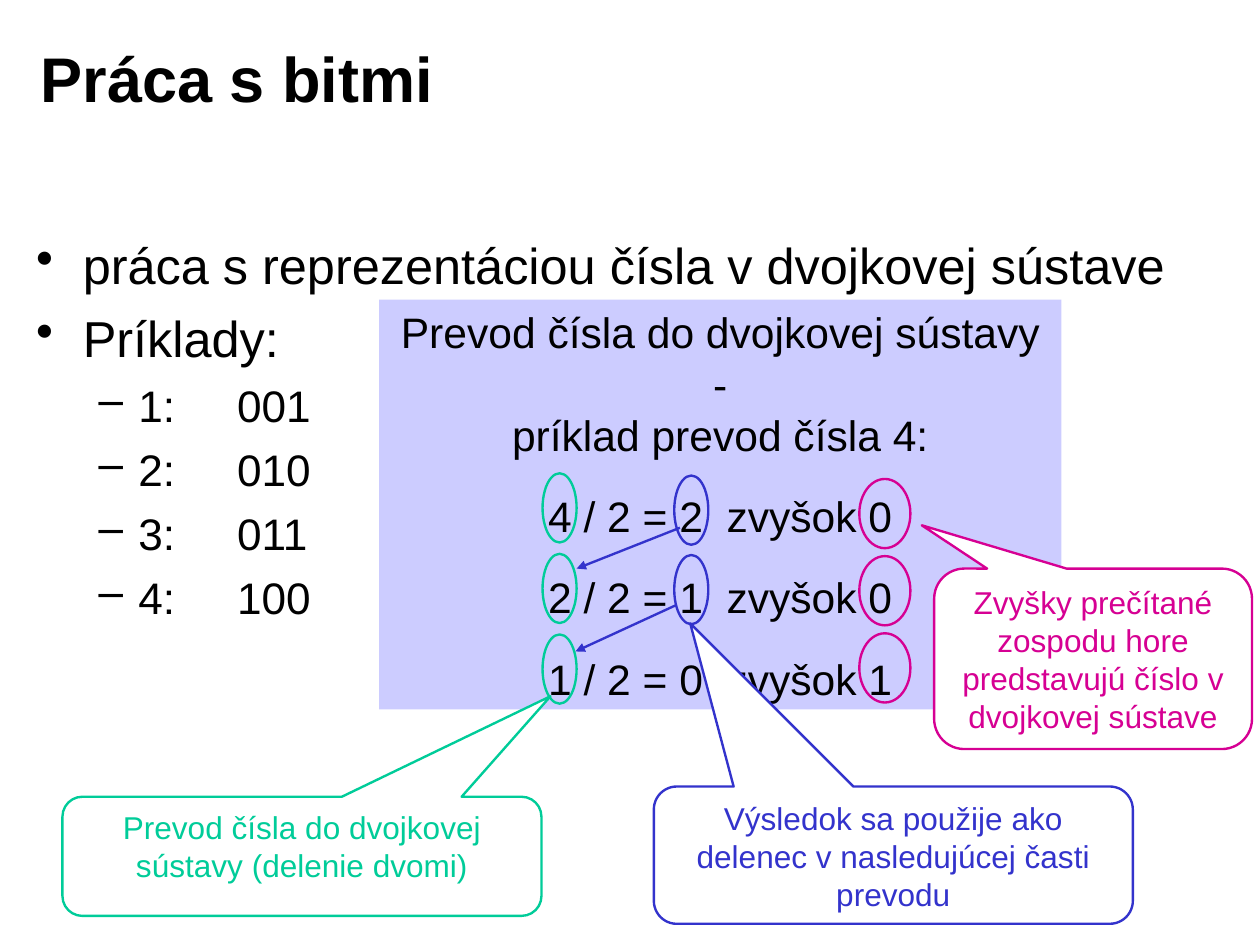
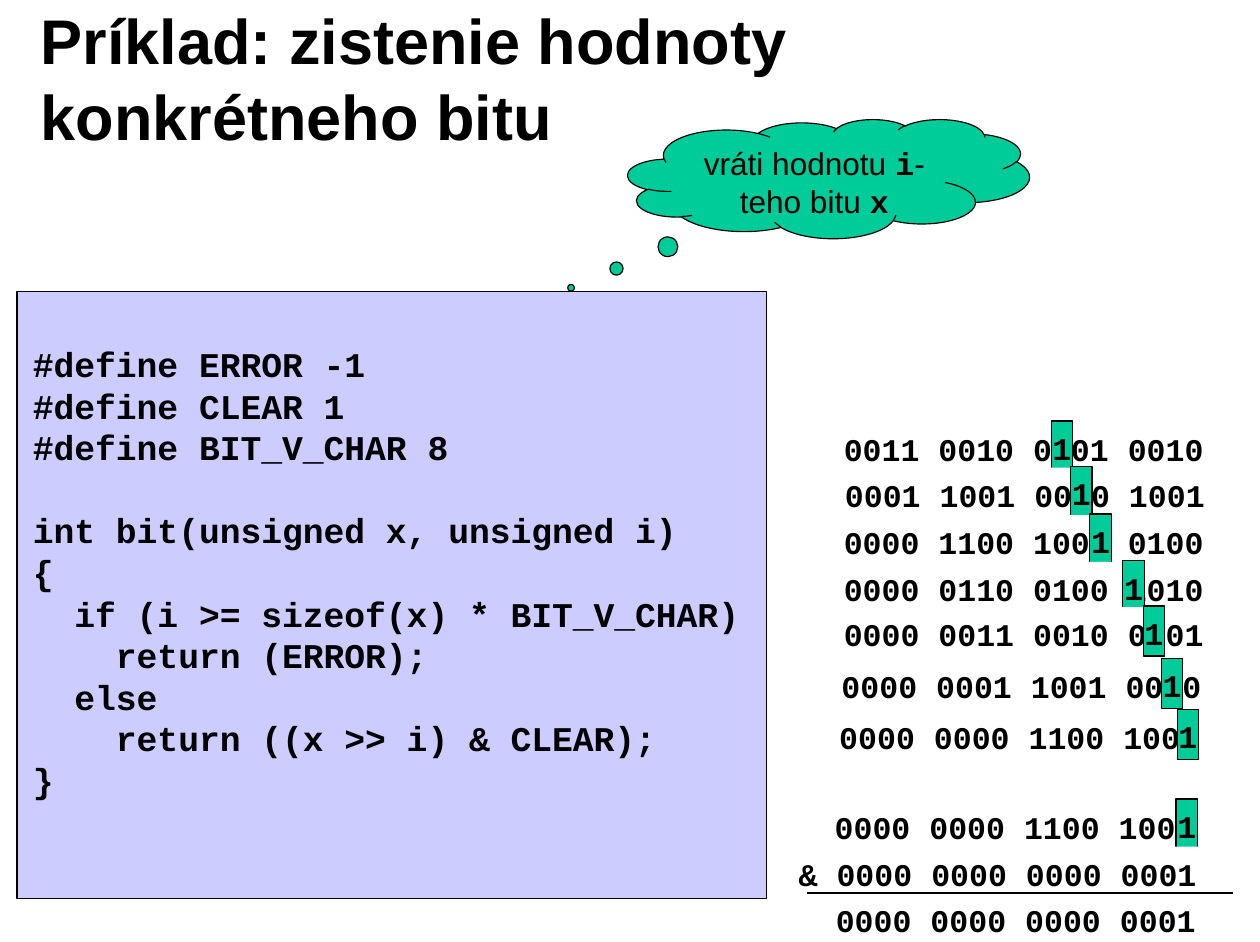
"""Build two slides on bit manipulation: binary conversion and reading one bit."""
from dataclasses import dataclass

import pptx
import pptx.dml.color
import pptx.enum.shapes
import pptx.enum.text
import pptx.oxml
import pptx.oxml.ns
import pptx.util

Inches = pptx.util.Inches
Pt = pptx.util.Pt
SHAPES = pptx.enum.shapes.MSO_SHAPE
ALIGN = pptx.enum.text.PP_ALIGN
ANCHOR = pptx.enum.text.MSO_ANCHOR


@dataclass(frozen=True)
class Theme:
    """Colours, fonts and type sizes shared by the slides."""
    sans: str = "Arial"
    mono: str = "Courier New"
    ink: str = "000000"
    paper: str = "FFFFFF"
    panel: str = "CCCCFF"
    green: str = "00CC99"
    blue: str = "3333CC"
    magenta: str = "D60093"
    title: float = 40
    body: float = 32
    sub: float = 28
    example: float = 27
    code: float = 22
    note: float = 20
    leading: float = 1.2


THEME = Theme()
WIDE_INSETS = (0.11, 0.06, 0.11, 0.06)
NOTE_INSETS = (0.1, 0.05, 0.1, 0.05)
BIT_INSETS = (0, 0.07, 0, 0.05)
TITLE_AT = (0.25, 0.17, 8.92, 1.02)
ROW_HEIGHT = 0.44
ROW_WIDTH = 3.88


def rgb(color):
    """Turn a hex string into a colour."""
    return pptx.dml.color.RGBColor.from_string(color)


def style_font(font, size, face, color, bold=False):
    """Set every font property used on these slides."""
    font.size, font.name, font.bold = Pt(size), face, bold
    font.color.rgb = rgb(color)


def set_frame(shape, insets, anchor=ANCHOR.TOP):
    """Wrap the text of a shape inside the given insets."""
    frame = shape.text_frame
    frame.word_wrap = True
    frame.vertical_anchor = anchor
    frame.margin_left, frame.margin_top, frame.margin_right, frame.margin_bottom = map(Inches, insets)
    return frame


def paragraphs(frame, count):
    """Yield the first paragraph of a frame and then new ones."""
    yield frame.paragraphs[0]
    for _ in range(count - 1):
        yield frame.add_paragraph()


def write(shape, lines, size, face=THEME.sans, color=THEME.ink, bold=False,
          align=ALIGN.CENTER, insets=NOTE_INSETS, anchor=ANCHOR.TOP, gaps=()):
    """Write equally styled lines, with extra space before the lines in gaps."""
    frame = set_frame(shape, insets, anchor)
    gaps = dict(gaps)
    for index, (paragraph, line) in enumerate(zip(paragraphs(frame, len(lines)), lines)):
        paragraph.text = line
        paragraph.alignment = align
        paragraph.line_spacing = Pt(size * THEME.leading)
        if index in gaps:
            paragraph.space_before = Pt(gaps[index])
        style_font(paragraph.font, size, face, color, bold)


def add_text(slide, at, lines, size, **style):
    """Add an unfilled text box."""
    write(slide.shapes.add_textbox(*map(Inches, at)), lines, size, **style)


def add_shape(slide, kind, at, fill=None, line=None, weight=0.75, adjust=()):
    """Add a flat preset shape."""
    shape = slide.shapes.add_shape(kind, *map(Inches, at))
    shape.shadow.inherit = False
    for index, value in enumerate(adjust):
        shape.adjustments[index] = value
    if fill:
        shape.fill.solid()
        shape.fill.fore_color.rgb = rgb(fill)
    else:
        shape.fill.background()
    if line:
        shape.line.color.rgb = rgb(line)
        shape.line.width = Pt(weight)
    else:
        shape.line.fill.background()
    return shape


def add_line(slide, start, end, color, weight, arrow=False):
    """Add a straight line, with an optional arrowhead at its end."""
    line = slide.shapes.add_connector(
        pptx.enum.shapes.MSO_CONNECTOR.STRAIGHT, *map(Inches, start + end))
    line.line.color.rgb = rgb(color)
    line.line.width = Pt(weight)
    if arrow:
        pptx.oxml.ns.qn("a:tailEnd")
        head = line.line._get_or_add_ln().makeelement(
            pptx.oxml.ns.qn("a:tailEnd"), {"type": "triangle"})
        line.line._get_or_add_ln().append(head)
    properties = line._element.spPr
    properties.append(properties.makeelement(pptx.oxml.ns.qn("a:effectLst"), {}))


def add_title(slide, text):
    """Add the slide title."""
    add_text(slide, TITLE_AT, [text], THEME.title, bold=True, align=ALIGN.LEFT,
             insets=WIDE_INSETS, anchor=ANCHOR.MIDDLE)


def set_bullet(paragraph, mark, left, hang, tabs=()):
    """Give a paragraph a bullet, a hanging indent and tab stops."""
    properties = paragraph._p.get_or_add_pPr()
    properties.set("marL", str(Inches(left)))
    properties.set("indent", str(-Inches(hang)))
    bullet = properties.makeelement(pptx.oxml.ns.qn("a:buChar"), {"char": mark})
    properties.append(bullet)
    if tabs:
        stops = properties.makeelement(pptx.oxml.ns.qn("a:tabLst"), {})
        for position in tabs:
            stops.append(stops.makeelement(
                pptx.oxml.ns.qn("a:tab"), {"pos": str(Inches(position)), "algn": "l"}))
        properties.append(stops)


def add_outline(slide, at, items):
    """Add a bulleted list of (level, text) items."""
    frame = set_frame(slide.shapes.add_textbox(*map(Inches, at)), WIDE_INSETS)
    levels = (
        (THEME.body, 8, ("•", 0.41, 0.41)),
        (THEME.sub, 7, ("–", 0.9, 0.35, (0.87, 1.77))),
    )
    for index, (paragraph, (level, text)) in enumerate(zip(paragraphs(frame, len(items)), items)):
        size, gap, bullet = levels[level]
        paragraph.text = text
        paragraph.level = level
        set_bullet(paragraph, *bullet)
        paragraph.line_spacing = Pt(size * THEME.leading)
        if index:
            paragraph.space_before = Pt(gap)
        style_font(paragraph.font, size, THEME.sans, THEME.ink)


def add_rings(slide, left, top, step, width, count, color):
    """Circle the digits of one column."""
    for row in range(count):
        add_shape(slide, SHAPES.OVAL, (left, top + row * step, width, 0.61), line=color, weight=1.5)


def add_callout(slide, at, tip, text, color):
    """Add a rounded callout whose tip is given relative to its centre."""
    callout = add_shape(slide, SHAPES.ROUNDED_RECTANGULAR_CALLOUT, at, THEME.paper,
                        color, 1.5, tip + (0.167,))
    write(callout, [text], THEME.note, color=color)


def add_bits(slide, left, top, bits, width=ROW_WIDTH):
    """Add one row of bits on white."""
    row = add_shape(slide, SHAPES.RECTANGLE, (left, top, width, ROW_HEIGHT), THEME.paper)
    write(row, [bits], THEME.note, THEME.mono, bold=True, insets=BIT_INSETS)


def add_marker(slide, left, top):
    """Highlight the tracked bit of a row."""
    marker = add_shape(slide, SHAPES.RECTANGLE, (left, top, 0.19, ROW_HEIGHT), THEME.green, THEME.ink)
    write(marker, ["1"], THEME.note, THEME.mono, bold=True, insets=BIT_INSETS)


def add_thought(slide, at, tip, runs):
    """Add a cloud whose (text, is_code) runs mix prose and code."""
    cloud = add_shape(slide, SHAPES.CLOUD_CALLOUT, at, THEME.green, THEME.ink, adjust=tip)
    paragraph = set_frame(cloud, WIDE_INSETS).paragraphs[0]
    paragraph.alignment = ALIGN.CENTER
    paragraph.line_spacing = Pt(THEME.note * THEME.leading)
    for text, is_code in runs:
        run = paragraph.add_run()
        run.text = text
        style_font(run.font, THEME.note, THEME.mono if is_code else THEME.sans, THEME.ink, is_code)


def build_conversion(slide):
    """Show how 4 is converted to binary."""
    add_title(slide, "Práca s bitmi")
    add_outline(slide, (0.21, 2, 10.67, 5.33), [
        (0, "práca s reprezentáciou čísla v dvojkovej sústave"),
        (0, "Príklady:"),
        *((1, f"{number}:\t{number:03b}") for number in range(1, 5)),
    ])
    example = add_shape(slide, SHAPES.RECTANGLE, (3.34, 2.64, 6.01, 3.61), THEME.panel)
    write(example, [
        "Prevod čísla do dvojkovej sústavy -",
        "príklad prevod čísla 4:",
        "4 / 2 = 2  zvyšok 0",
        "2 / 2 = 1  zvyšok 0",
        "1 / 2 = 0  zvyšok 1",
    ], THEME.example, insets=WIDE_INSETS, gaps={row: 19.2 for row in (2, 3, 4)})

    add_rings(slide, 4.78, 4.17, 0.71, 0.3, 3, THEME.green)
    add_callout(slide, (0.55, 7.02, 4.22, 1.05), (0.519, -1.344),
                "Prevod čísla do dvojkovej sústavy (delenie dvomi)", THEME.green)

    add_line(slide, (5.96, 5.33), (5.07, 5.74), THEME.blue, 1.5, arrow=True)
    add_line(slide, (5.99, 4.65), (5.08, 5.01), THEME.blue, 1.5, arrow=True)
    add_rings(slide, 5.94, 4.19, 0.7, 0.3, 2, THEME.blue)
    add_callout(slide, (5.76, 6.93, 4.22, 1.21), (-0.424, -1.689),
                "Výsledok sa použije ako delenec v nasledujúcej časti prevodu", THEME.blue)

    add_callout(slide, (8.23, 5.01, 2.8, 1.59), (-0.539, -0.74),
                "Zvyšky prečítané zospodu hore predstavujú číslo v dvojkovej sústave",
                THEME.magenta)
    add_rings(slide, 7.57, 4.22, 0.68, 0.45, 3, THEME.magenta)


def build_bit_lookup(slide):
    """Show code that reads one bit and the shifts it performs."""
    add_title(slide, "Príklad: zistenie hodnoty konkrétneho bitu")
    listing = add_shape(slide, SHAPES.RECTANGLE, (0.15, 2.57, 6.6, 5.35), THEME.panel, THEME.ink)
    write(listing, [
        "#define ERROR -1",
        "#define CLEAR 1",
        "#define BIT_V_CHAR 8",
        "int bit(unsigned x, unsigned i)",
        "{",
        "  if (i >= sizeof(x) * BIT_V_CHAR)",
        "    return (ERROR);",
        "  else",
        "    return ((x >> i) & CLEAR);",
        "}",
    ], THEME.code, THEME.mono, bold=True, align=ALIGN.LEFT, insets=(0.14, 0.45, 0, 0),
        gaps={3: THEME.code * THEME.leading})

    shifts = (
        (7.08, 3.72, "0011 0010 0101 0010", 9.26),
        (7.09, 4.12, "0001 1001 0010 1001", 9.43),
        (7.08, 4.54, "0000 1100 1001 0100", 9.6),
        (7.08, 4.95, "0000 0110 0100 1010", 9.89),
        (7.08, 5.35, "0000 0011 0010 0101", 10.07),
        (7.06, 5.81, "0000 0001 1001 0010", 10.23),
        (7.04, 6.26, "0000 0000 1100 1001", 10.37),
        (7, 7.05, "0000 0000 1100 1001", 10.36),
    )
    for left, top, bits, marker_left in shifts:
        add_bits(slide, left, top, bits)
        add_marker(slide, marker_left, top - 0.01)

    add_bits(slide, 6.85, 7.46, "& 0000 0000 0000 0001")
    add_line(slide, (7.11, 7.87), (10.86, 7.87), THEME.ink, 1)
    add_text(slide, (7.01, 7.87, ROW_WIDTH, ROW_HEIGHT), ["0000 0000 0000 0001"],
             THEME.note, face=THEME.mono, bold=True, insets=BIT_INSETS)
    add_thought(slide, (5.53, 1.05, 3.54, 1.05), (-0.641, 0.915), [
        ("vráti hodnotu ", False), ("i", True), ("-teho bitu ", False), ("x", True)])


def main():
    """Build and save the presentation."""
    deck = pptx.Presentation()
    deck.slide_width, deck.slide_height = Inches(11.1), Inches(8.3)
    for build in (build_conversion, build_bit_lookup):
        build(deck.slides.add_slide(deck.slide_layouts[6]))
    deck.save("out.pptx")


if __name__ == "__main__":
    main()
